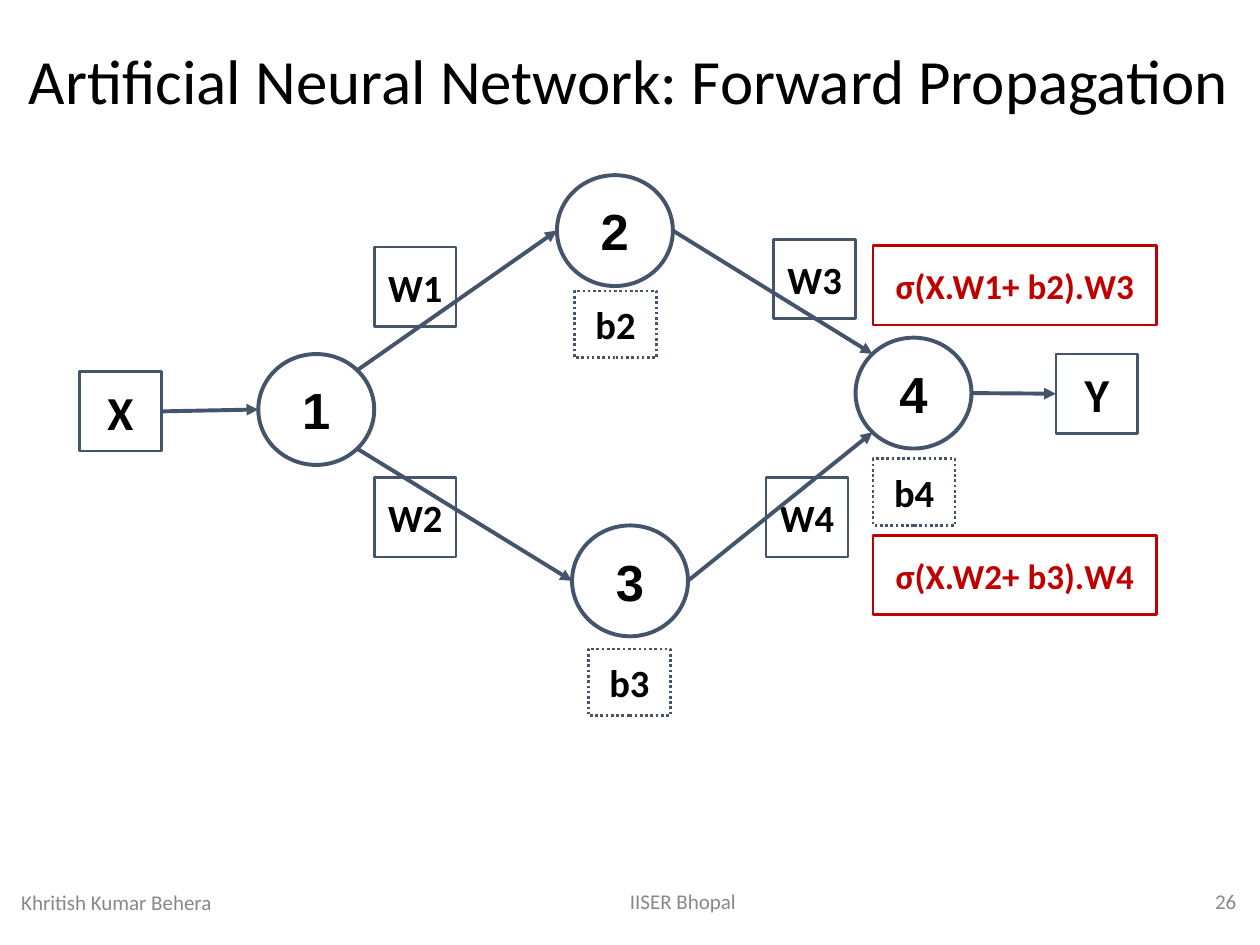
from dataclasses import dataclass
from math import cos, radians, sin
from typing import Optional

from lxml import etree
from pptx import Presentation
from pptx import util as u
from pptx.dml.color import RGBColor
from pptx.enum import dml, shapes, text
from pptx.oxml.ns import qn


@dataclass(frozen=True)
class Theme:
    ink: str = "000000"
    outline: str = "44546A"
    accent: str = "C00000"
    muted: str = "888888"
    body_font: str = "Calibri"
    node_font: str = "Arial"
    title_size: int = 36
    node_size: int = 29
    terminal_size: int = 27
    label_size: int = 22
    formula_size: int = 20
    footer_size: int = 12
    thick: float = 2.25
    thin: float = 1.5


THEME = Theme()
NODE_SIZE = (0.92, 0.88)
SQUARE_SIZE = (0.65, 0.63)
BIAS_SIZE = (0.65, 0.53)
FORMULA_SIZE = (2.25, 0.63)
LEFT, CENTER, RIGHT = text.PP_ALIGN.LEFT, text.PP_ALIGN.CENTER, text.PP_ALIGN.RIGHT


@dataclass(frozen=True)
class Box:
    label: str
    left: float
    top: float
    size: tuple[float, float] = SQUARE_SIZE
    font_size: int = THEME.label_size
    font: str = THEME.body_font
    color: str = THEME.ink
    line: str = THEME.outline
    width: float = THEME.thin
    dotted: bool = False
    kind: shapes.MSO_SHAPE = shapes.MSO_SHAPE.RECTANGLE

    def rim(self, degrees: float) -> tuple[float, float]:
        width, height = self.size
        angle = radians(degrees)
        return (self.left + width / 2 * (1 + cos(angle)),
                self.top + height / 2 * (1 + sin(angle)))


@dataclass(frozen=True)
class Caption:
    label: str
    left: float
    top: float
    width: float
    height: float
    align: text.PP_ALIGN
    size: int = THEME.footer_size
    color: str = THEME.muted
    anchor: text.MSO_ANCHOR = text.MSO_ANCHOR.MIDDLE


def node(label: str, left: float, top: float) -> Box:
    return Box(label, left, top, NODE_SIZE, THEME.node_size, THEME.node_font,
               width=THEME.thick, kind=shapes.MSO_SHAPE.OVAL)


def terminal(label: str, left: float, top: float) -> Box:
    return Box(label, left, top, font_size=THEME.terminal_size)


def bias(label: str, left: float, top: float) -> Box:
    return Box(label, left, top, BIAS_SIZE, dotted=True)


def formula(label: str, left: float, top: float) -> Box:
    return Box(label, left, top, FORMULA_SIZE, THEME.formula_size,
               color=THEME.accent, line=THEME.accent)


CAPTIONS = [
    Caption("Artificial Neural Network: Forward Propagation", 0.07, 0.28, 9.84, 0.71,
            CENTER, THEME.title_size, THEME.ink, text.MSO_ANCHOR.TOP),
    Caption("Khritish Kumar Behera", 0.07, 6.96, 3.38, 0.4, LEFT),
    Caption("IISER Bhopal", 3.73, 6.95, 3.38, 0.4, CENTER),
    Caption("26", 7.66, 6.95, 2.25, 0.4, RIGHT),
]
INPUT = terminal("X", 0.63, 2.95)
OUTPUT = terminal("Y", 8.38, 2.81)
NODE_1 = node("1", 2.05, 2.81)
NODE_2 = node("2", 4.42, 1.39)
NODE_3 = node("3", 4.54, 4.17)
NODE_4 = node("4", 6.79, 2.68)
BOXES = [
    INPUT, OUTPUT, NODE_1, NODE_2, NODE_3, NODE_4,
    Box("W1", 2.97, 1.96), Box("W2", 2.97, 3.79),
    Box("W3", 6.14, 1.9), Box("W4", 6.08, 3.79),
    bias("b2", 4.56, 2.31), bias("b3", 4.67, 5.15), bias("b4", 6.93, 3.64),
    formula("σ(X.W1+ b2).W3", 6.93, 1.95), formula("σ(X.W2+ b3).W4", 6.93, 4.25),
]
EDGES = [
    (NODE_1.rim(-45), NODE_2.rim(180)),
    (NODE_1.rim(45), NODE_3.rim(180)),
    (NODE_2.rim(0), NODE_4.rim(-135)),
    (NODE_3.rim(0), NODE_4.rim(135)),
]


def write(shape, label: str, *, size: int, color: str, font: str = THEME.body_font,
          bold: bool = False, align: text.PP_ALIGN = CENTER,
          anchor: text.MSO_ANCHOR = text.MSO_ANCHOR.MIDDLE, inset: float = 0.1) -> None:
    frame = shape.text_frame
    frame.word_wrap = True
    frame.vertical_anchor = anchor
    frame.margin_left = frame.margin_right = u.Inches(0.1)
    frame.margin_top = frame.margin_bottom = u.Inches(inset)
    para = frame.paragraphs[0]
    para.alignment = align
    span = para.add_run()
    span.text = label
    span.font.name = font
    span.font.size = u.Pt(size)
    span.font.bold = bold
    span.font.color.rgb = RGBColor.from_string(color)


def draw_caption(page, caption: Caption) -> None:
    box = page.shapes.add_textbox(u.Inches(caption.left), u.Inches(caption.top),
                                  u.Inches(caption.width), u.Inches(caption.height))
    write(box, caption.label, size=caption.size, color=caption.color,
          align=caption.align, anchor=caption.anchor, inset=0.05)


def draw_box(page, box: Box):
    shape = page.shapes.add_shape(box.kind, u.Inches(box.left), u.Inches(box.top),
                                  *map(u.Inches, box.size))
    shape.shadow.inherit = False
    shape.fill.background()
    shape.line.color.rgb = RGBColor.from_string(box.line)
    shape.line.width = u.Pt(box.width)
    if box.dotted:
        shape.line.dash_style = dml.MSO_LINE.ROUND_DOT
    write(shape, box.label, size=box.font_size, color=box.color, font=box.font, bold=True)
    return shape


def draw_arrow(page, start: tuple[float, float], end: tuple[float, float],
               source: Optional[object] = None, target: Optional[object] = None) -> None:
    arrow = page.shapes.add_connector(shapes.MSO_CONNECTOR.STRAIGHT,
                                      *map(u.Inches, (*start, *end)))
    if source is not None:
        arrow.begin_connect(source, 3)
    if target is not None:
        arrow.end_connect(target, 1)
    arrow.line.color.rgb = RGBColor.from_string(THEME.outline)
    arrow.line.width = u.Pt(THEME.thick)
    etree.SubElement(arrow.line._get_or_add_ln(), qn("a:tailEnd"), type="triangle")
    etree.SubElement(arrow._element.spPr, qn("a:effectLst"))


def main() -> None:
    deck = Presentation()
    deck.slide_width, deck.slide_height = u.Inches(10), u.Inches(7.5)
    page = deck.slides.add_slide(deck.slide_layouts[6])
    for caption in CAPTIONS:
        draw_caption(page, caption)
    drawn = {box: draw_box(page, box) for box in BOXES}
    for start, end in EDGES:
        draw_arrow(page, start, end)
    draw_arrow(page, INPUT.rim(0), NODE_1.rim(180), source=drawn[INPUT])
    draw_arrow(page, NODE_4.rim(0), OUTPUT.rim(180), target=drawn[OUTPUT])
    deck.save("out.pptx")


if __name__ == "__main__":
    main()
